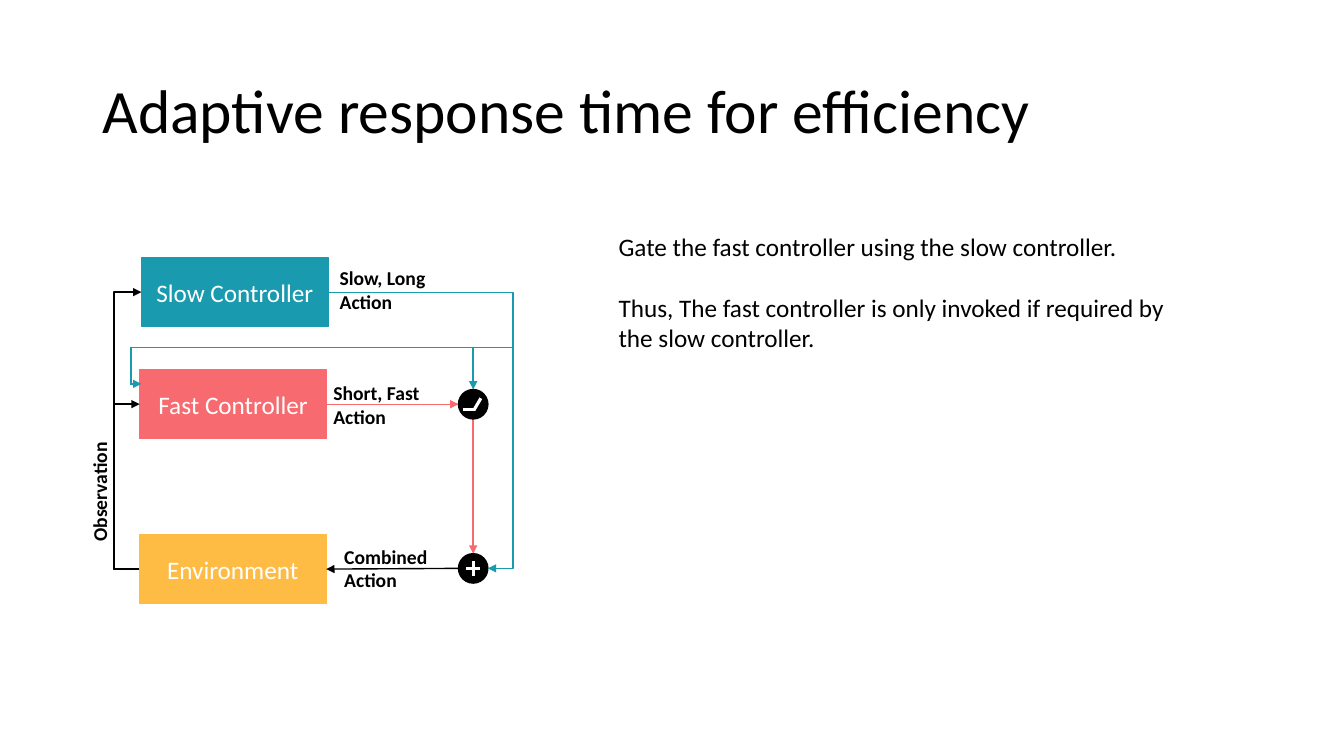
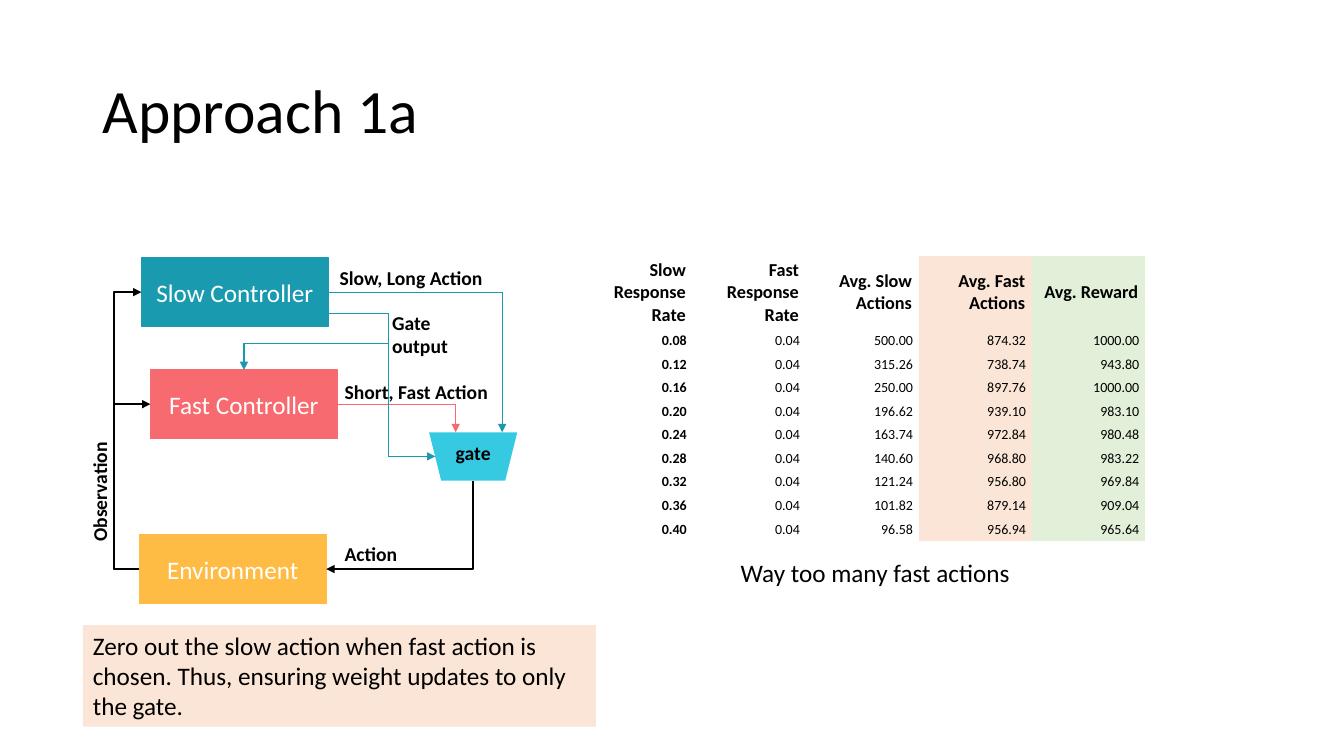
from dataclasses import dataclass
from typing import Any, Optional

from pptx import Presentation
from pptx.dml.color import RGBColor
from pptx.enum.shapes import MSO_CONNECTOR, MSO_SHAPE
from pptx.enum.text import MSO_ANCHOR, MSO_AUTO_SIZE, PP_ALIGN
from pptx.oxml.ns import qn
from pptx.oxml.xmlchemy import OxmlElement
from pptx.shapes.autoshape import Shape
from pptx.slide import Slide
from pptx.util import Pt

# Shared colours and fonts
BLACK = RGBColor(0x00, 0x00, 0x00)
WHITE = RGBColor(0xFF, 0xFF, 0xFF)
TEAL = RGBColor(0x19, 0x9A, 0xAE)
CORAL = RGBColor(0xF7, 0x6A, 0x6F)
AMBER = RGBColor(0xFF, 0xBC, 0x44)
CYAN = RGBColor(0x36, 0xC9, 0xE2)
PEACH = RGBColor(0xFB, 0xE5, 0xD6)
GREEN = RGBColor(0xE2, 0xF0, 0xD9)
FONT = "Calibri"
TITLE_FONT = {"name": FONT, "size": Pt(44)}
BODY_FONT = {"name": FONT, "size": Pt(18)}
LABEL_FONT = {"name": FONT, "size": Pt(14), "bold": True}
HEADER_FONT = {"name": FONT, "size": Pt(13), "bold": True}
CELL_FONT = {"name": FONT, "size": Pt(10), "bold": False}
NO_STYLE_TABLE = "{2D5ABB26-0587-4C30-8999-92F81FD0307C}"

# Shared diagram grid, in points
BLOCK_WIDTH, BLOCK_HEIGHT = 133.5, 49
SLOW_Y, FAST_Y, ENVIRONMENT_Y, SUM_Y = 208.75, 288.75, 406.5, 406
SLOW_LEFT, ENVIRONMENT_LEFT = 101, 99.5
SLOW_RIGHT = SLOW_LEFT + BLOCK_WIDTH
ENVIRONMENT_RIGHT = ENVIRONMENT_LEFT + BLOCK_WIDTH
OBSERVATION_X = 81.5
JUNCTION_X, RADIUS = 338, 10.5
TAIL, HEAD = "a:tailEnd", "a:headEnd"

Point = tuple[float, float]


@dataclass(frozen=True)
class Glue:
    """Shapes joined by an elbow, with their connection sites."""
    start: Shape
    start_site: int
    end: Shape
    end_site: int


@dataclass(frozen=True)
class Route:
    points: list[Point]
    color: RGBColor
    arrow: Optional[str] = TAIL
    width: float = 1
    glue: Optional[Glue] = None


@dataclass(frozen=True)
class Label:
    lines: list[str]
    left: float
    top: float
    width: float
    height: float = 24.5
    rotation: float = 0
    align: PP_ALIGN = PP_ALIGN.LEFT


def apply_format(target: Any, values: dict[str, Any]) -> None:
    for name, value in values.items():
        setattr(target, name, value)


def write(frame: Any, lines: list[str], font: dict[str, Any],
          color: RGBColor = BLACK, **paragraph_format: Any) -> None:
    for index, text in enumerate(lines):
        para = frame.paragraphs[0] if index == 0 else frame.add_paragraph()
        apply_format(para, paragraph_format)
        span = para.add_run()
        span.text = text
        apply_format(span.font, font)
        span.font.color.rgb = color


def add_page(deck: Any, title: str) -> Slide:
    page = deck.slides.add_slide(deck.slide_layouts[5])
    box = page.shapes.title
    apply_format(box, {"left": Pt(66), "top": Pt(28.75),
                       "width": Pt(828), "height": Pt(104.4)})
    apply_format(box.text_frame, {"vertical_anchor": MSO_ANCHOR.MIDDLE, "word_wrap": True,
                                  "auto_size": MSO_AUTO_SIZE.NONE})
    write(box.text_frame, [title], TITLE_FONT, alignment=PP_ALIGN.LEFT, line_spacing=0.9)
    return page


def add_filled(page: Slide, kind: MSO_SHAPE, left: float, top: float, width: float,
               height: float, fill: RGBColor, outlined: bool = False) -> Shape:
    shape = page.shapes.add_shape(kind, Pt(left), Pt(top), Pt(width), Pt(height))
    shape.shadow.inherit = False
    shape.fill.solid()
    shape.fill.fore_color.rgb = fill
    if outlined:
        shape.line.color.rgb = fill
        shape.line.width = Pt(1)
    else:
        shape.line.fill.background()
    return shape


def add_block(page: Slide, text: str, left: float, middle: float, color: RGBColor) -> Shape:
    shape = add_filled(page, MSO_SHAPE.RECTANGLE, left, middle - BLOCK_HEIGHT / 2,
                       BLOCK_WIDTH, BLOCK_HEIGHT, color, outlined=True)
    apply_format(shape.text_frame, {"vertical_anchor": MSO_ANCHOR.MIDDLE, "word_wrap": True})
    write(shape.text_frame, [text], BODY_FONT, WHITE, alignment=PP_ALIGN.CENTER)
    return shape


def bend(line: Any, points: list[Point], glue: Glue) -> None:
    """Glue an elbow to its shapes and set where it turns."""
    line._connect_begin_to(glue.start, glue.start_site)
    line._connect_end_to(glue.end, glue.end_site)
    geometry = line._element.spPr.find(qn("a:prstGeom"))
    if len(points) == 3:
        geometry.set("prst", "bentConnector2")
        return
    (start_x, _), (turn_x, _), _, (end_x, _) = points
    guide = OxmlElement("a:gd")
    guide.set("name", "adj1")
    guide.set("fmla", f"val {round((turn_x - start_x) / (end_x - start_x) * 100000)}")
    geometry.get_or_add_avLst().append(guide)


def add_route(page: Slide, route: Route) -> None:
    """Draw one glued elbow, or a chain of straight lines."""
    kind = MSO_CONNECTOR.ELBOW if route.glue else MSO_CONNECTOR.STRAIGHT
    stops = [route.points[0], route.points[-1]] if route.glue else route.points
    segments = list(zip(stops, stops[1:]))
    for index, (start, end) in enumerate(segments):
        line = page.shapes.add_connector(kind, *(Pt(value) for value in (*start, *end)))
        if route.glue:
            bend(line, route.points, route.glue)
        line.line.color.rgb = route.color
        line.line.width = Pt(route.width)
        outline = line.line._get_or_add_ln()
        if index < len(segments) - 1:
            outline.set("cap", "sq")
        elif route.arrow:
            arrowhead = OxmlElement(route.arrow)
            arrowhead.set("type", "triangle")
            outline.append(arrowhead)
        line._element.spPr.append(OxmlElement("a:effectLst"))


def add_text(page: Slide, label: Label, font: dict[str, Any]) -> Shape:
    box = page.shapes.add_textbox(Pt(label.left), Pt(label.top),
                                  Pt(label.width), Pt(label.height))
    box.rotation = label.rotation
    box.text_frame.word_wrap = True
    write(box.text_frame, label.lines, font, alignment=label.align)
    return box


def add_diagram(page: Slide, fast_left: float, routes: list[Route],
                labels: list[Label]) -> tuple[Shape, Shape]:
    """Draw the controller loop; return the slow controller and the environment."""
    slow = add_block(page, "Slow Controller", SLOW_LEFT, SLOW_Y, TEAL)
    fast = add_block(page, "Fast Controller", fast_left, FAST_Y, CORAL)
    environment = add_block(page, "Environment", ENVIRONMENT_LEFT, ENVIRONMENT_Y, AMBER)
    observation = [
        Route([(ENVIRONMENT_LEFT, ENVIRONMENT_Y), (OBSERVATION_X, ENVIRONMENT_Y),
               (OBSERVATION_X, middle), (left, middle)], BLACK,
              glue=Glue(environment, 1, target, 1))
        for target, left, middle in ((slow, SLOW_LEFT, SLOW_Y), (fast, fast_left, FAST_Y))]
    for route in observation + routes:
        add_route(page, route)
    for label in [Label(["Observation"], 16.5, 327, 109.5, rotation=270)] + labels:
        add_text(page, label, LABEL_FONT)
    return slow, environment


def add_results(page: Slide) -> None:
    headers = ["Slow Response Rate", "Fast Response Rate", "Avg. Slow Actions",
               "Avg. Fast Actions", "Avg. Reward"]
    results = [(500, 874.32, 1000), (315.26, 738.74, 943.8), (250, 897.76, 1000),
               (196.62, 939.1, 983.1), (163.74, 972.84, 980.48),
               (140.6, 968.8, 983.22), (121.24, 956.8, 969.84),
               (101.82, 879.14, 909.04), (96.58, 956.94, 965.64)]
    rows = [headers]
    for index, values in enumerate(results):
        rows.append([f"{value:.2f}" for value in (0.08 + 0.04 * index, 0.04, *values)])
    fills = [WHITE, WHITE, WHITE, PEACH, GREEN]
    column_width, header_height, row_height = 80.8, 52.25, 16.85

    table = page.shapes.add_table(
        len(rows), len(headers), Pt(414), Pt(182.75), Pt(column_width * len(headers)),
        Pt(header_height + row_height * len(results))).table
    table._tbl.tblPr.find(qn("a:tableStyleId")).text = NO_STYLE_TABLE
    apply_format(table, {"first_row": False, "horz_banding": False})
    for column in table.columns:
        column.width = Pt(column_width)
    for row_index, texts in enumerate(rows):
        is_header = row_index == 0
        table.rows[row_index].height = Pt(header_height if is_header else row_height)
        side, edge = (5, 2.5) if is_header else (4.3, 2.1)
        for column_index, text in enumerate(texts):
            cell = table.cell(row_index, column_index)
            apply_format(cell, {"margin_left": Pt(side), "margin_right": Pt(side),
                                "margin_top": Pt(edge), "margin_bottom": Pt(edge),
                                "vertical_anchor": MSO_ANCHOR.MIDDLE})
            cell.fill.solid()
            cell.fill.fore_color.rgb = fills[column_index]
            font = HEADER_FONT if is_header else {**CELL_FONT, "bold": column_index == 0}
            write(cell.text_frame, [text], font, alignment=PP_ALIGN.RIGHT)


def build_adaptive_page(deck: Any) -> None:
    page = add_page(deck, "Adaptive response time for efficiency")
    fast_left = 99.75
    gate_y, gate_x, slow_x = 248.25, 93.5, 366.5
    slow, _ = add_diagram(page, fast_left, [
        Route([(slow_x, gate_y), (gate_x, gate_y), (gate_x, 274.25),
               (SLOW_LEFT, 274.25)], TEAL),
        Route([(JUNCTION_X, gate_y), (JUNCTION_X, FAST_Y - RADIUS)], TEAL),
        Route([(JUNCTION_X, FAST_Y + RADIUS), (JUNCTION_X, SUM_Y - RADIUS)], CORAL),
        Route([(fast_left + BLOCK_WIDTH, FAST_Y), (JUNCTION_X - RADIUS, FAST_Y)], CORAL),
        Route([(JUNCTION_X - RADIUS, SUM_Y), (ENVIRONMENT_RIGHT, ENVIRONMENT_Y)], BLACK),
    ], [
        Label(["Slow, Long Action"], 235.5, 186.5, 109.5, 41),
        Label(["Short, Fast", "Action"], 231, 268.75, 109.5, 41),
        Label(["Combined", "Action"], 238.75, 385.5, 109.5, 41),
    ])

    # Switch and sum junctions
    _, total = [add_filled(page, MSO_SHAPE.OVAL, JUNCTION_X - RADIUS, middle - RADIUS,
                           2 * RADIUS, 2 * RADIUS, BLACK, outlined=True)
                for middle in (FAST_Y, SUM_Y)]
    add_route(page, Route([(SLOW_RIGHT, SLOW_Y), (slow_x, SLOW_Y), (slow_x, SUM_Y),
                           (JUNCTION_X + RADIUS, SUM_Y)], TEAL, glue=Glue(slow, 3, total, 6)))
    for points in ([(330.5, 292.25), (339, 292.25)],
                   [(338.5, 293), (343.5, 284.5)],
                   [(JUNCTION_X - 5, SUM_Y), (JUNCTION_X + 5, SUM_Y)],
                   [(JUNCTION_X, SUM_Y - 5.5), (JUNCTION_X, SUM_Y + 5.5)]):
        add_route(page, Route(points, WHITE, arrow=None, width=2.25))

    # Explanation
    box = add_text(page, Label([
        "Gate the fast controller using the slow controller.",
        "Thus, The fast controller is only invoked if required by the slow controller.",
    ], 434.75, 161.75, 419, 138), BODY_FONT)
    box.text_frame.paragraphs[1].space_before = Pt(22)


def build_approach_page(deck: Any) -> None:
    page = add_page(deck, "Approach 1a")
    fast_left = 107.5
    gate_top, gate_height = 308.75, 34.5
    output_x, output_y, branch_y, gate_middle = 277.5, 224, 245.5, 326
    fast_middle = fast_left + BLOCK_WIDTH / 2
    gate = add_filled(page, MSO_SHAPE.TRAPEZOID, 306.5, gate_top, 63, gate_height, CYAN)
    gate.rotation = 180
    _, environment = add_diagram(page, fast_left, [
        Route([(SLOW_RIGHT, SLOW_Y), (358.75, SLOW_Y), (358.75, gate_top)], TEAL),
        Route([(fast_left + BLOCK_WIDTH, FAST_Y), (325.5, FAST_Y), (325.5, gate_top)], CORAL),
        Route([(SLOW_RIGHT, output_y), (output_x, output_y)], TEAL, None, 0.75),
        Route([(output_x, output_y), (output_x, gate_middle), (311, gate_middle)], TEAL),
        Route([(output_x, branch_y), (fast_middle, branch_y),
               (fast_middle, FAST_Y - BLOCK_HEIGHT / 2)], TEAL),
    ], [
        Label(["Slow, Long Action"], 235.5, 186.5, 126),
        Label(["Short, Fast Action"], 239, 268, 157),
        Label(["Action"], 239, 383.75, 54),
        Label(["Gate output"], 273, 218.5, 67, 41),
        Label(["gate"], 309.5, 311.5, 57, align=PP_ALIGN.CENTER),
    ])
    add_route(page, Route([(ENVIRONMENT_RIGHT, ENVIRONMENT_Y), (JUNCTION_X, ENVIRONMENT_Y),
                           (JUNCTION_X, gate_top + gate_height)], BLACK, HEAD,
                          glue=Glue(environment, 3, gate, 0)))

    # Note, results and remark
    note = add_filled(page, MSO_SHAPE.RECTANGLE, 59.25, 446.5, 366.5, 72.5, PEACH)
    apply_format(note.text_frame, {"vertical_anchor": MSO_ANCHOR.TOP, "word_wrap": True})
    write(note.text_frame, ["Zero out the slow action when fast action is chosen. "
                            "Thus, ensuring weight updates to only the gate."],
          BODY_FONT, alignment=PP_ALIGN.LEFT)
    add_results(page)
    add_text(page, Label(["Way too many fast actions"], 522, 394.5, 219, 29), BODY_FONT)


def main() -> None:
    deck = Presentation()
    apply_format(deck, {"slide_width": Pt(960), "slide_height": Pt(540)})
    build_adaptive_page(deck)
    build_approach_page(deck)
    deck.save("out.pptx")


if __name__ == "__main__":
    main()
